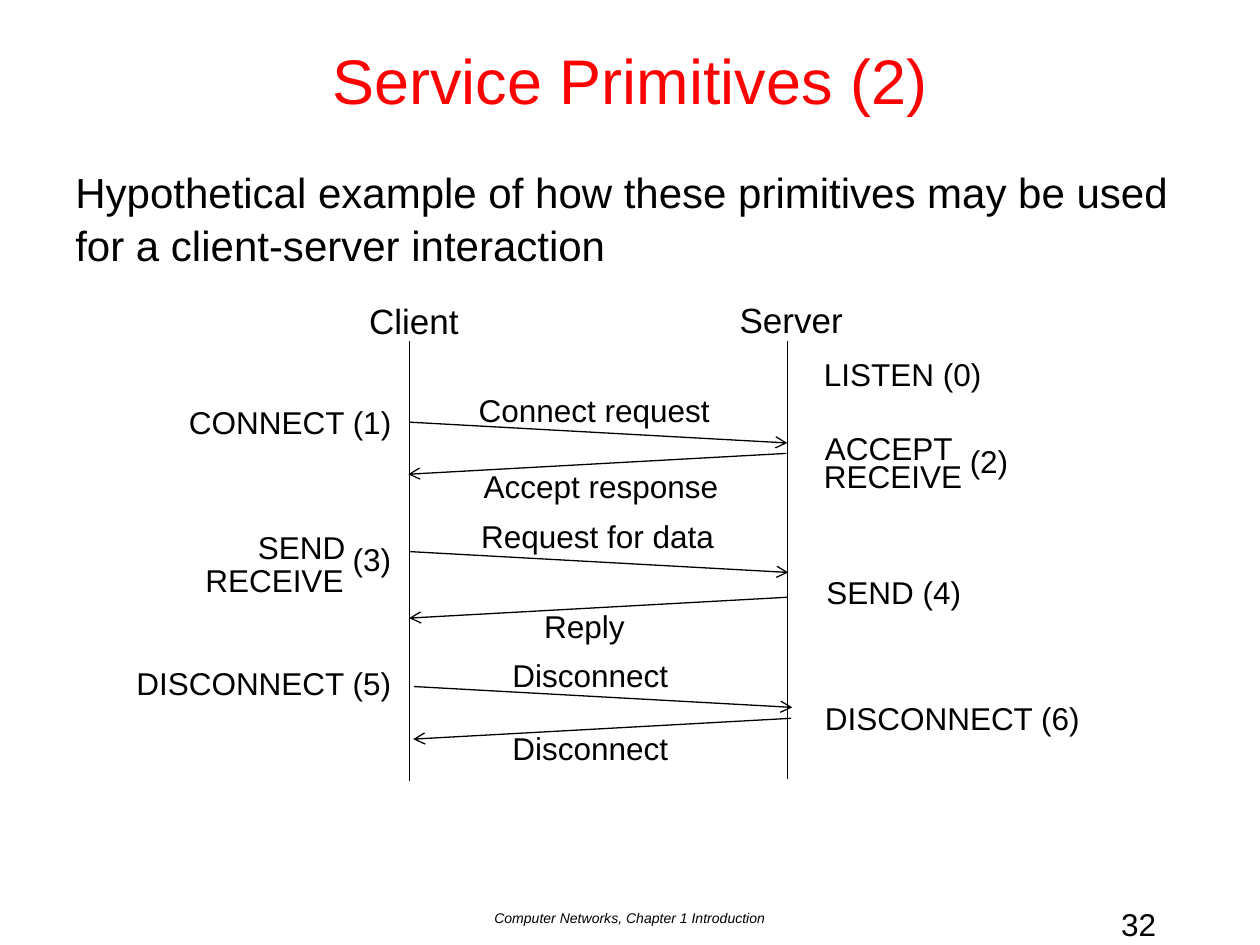
from lxml import etree
from pptx import Presentation
from pptx.dml.color import RGBColor
from pptx.enum.shapes import MSO_CONNECTOR
from pptx.enum.text import MSO_ANCHOR, PP_ALIGN
from pptx.oxml.ns import qn
from pptx.util import Cm, Pt

COLORS = {"title": "FF0000", "text": "000000", "line": "000000"}
FONT = "Arial"
TITLE_ONLY = 5
SLIDE_WIDTH, SLIDE_HEIGHT = 25.4, 19.05

CLIENT_X, SERVER_X = 5.75, 13.37
LIFELINE_TOP = 0.98
ARROW_DROP = 0.42

# text, left, top, width, relative to the diagram
HEADINGS = [("Client", 4.69, 0.02, 2.34), ("Server", 12.16, 0, 2.62)]
CLIENT_CALLS = [
    ("CONNECT (1)", 1.06, 2.1, 4.62),
    ("SEND", 2.45, 4.62, 2.29),
    ("RECEIVE", 1.39, 5.28, 3.33),
    ("(3)", 4.36, 4.87, 1.3),
    ("DISCONNECT (5)", 0, 7.36, 5.69),
]
SERVER_CALLS = [
    ("LISTEN (0)", 13.86, 1.14, 3.71),
    ("ACCEPT", 13.88, 2.63, 3.28),
    ("RECEIVE", 13.86, 3.19, 3.33),
    ("(2)", 16.8, 2.89, 1.3),
    ("SEND (4)", 13.91, 5.53, 3.25),
    ("DISCONNECT (6)", 13.88, 8.07, 5.69),
]
MESSAGES = [
    ("Connect request", 6.9, 1.85, 5.21),
    ("Accept response", 7, 3.4, 5.28),
    ("Request for data", 6.95, 4.39, 5.26),
    ("Reply", 8.22, 6.22, 2.16),
    ("Disconnect", 7.58, 7.21, 3.68),
    ("Disconnect", 7.58, 8.68, 3.68),
]
# start height and sideways shift; requests and replies alternate
ARROWS = [(2.61, 0), (3.24, -0.02), (5.22, 0.02), (6.14, 0), (7.94, 0.1), (8.58, 0.08)]


def style(paragraph, size, color="text", align=PP_ALIGN.LEFT, italic=False):
    paragraph.alignment = align
    font = paragraph.font
    font.name, font.size, font.italic = FONT, Pt(size), italic
    font.color.rgb = RGBColor.from_string(COLORS[color])


def add_text(slide, text, left, top, width, height, size, wrap=False, **options):
    box = slide.shapes.add_textbox(Cm(left), Cm(top), Cm(width), Cm(height))
    box.text_frame.word_wrap = wrap
    box.text_frame.text = text
    paragraph = box.text_frame.paragraphs[0]
    style(paragraph, size, **options)
    return paragraph


def add_line(slide, x1, y1, x2, y2, arrow=False):
    connector = slide.shapes.add_connector(
        MSO_CONNECTOR.STRAIGHT, Cm(x1), Cm(y1), Cm(x2), Cm(y2))
    connector.line.width = Pt(0.75)
    connector.line.color.rgb = RGBColor.from_string(COLORS["line"])
    if arrow:
        etree.SubElement(connector.line._get_or_add_ln(), qn("a:tailEnd"), type="arrow")
    etree.SubElement(connector._element.spPr, qn("a:effectLst"))


def set_title(slide, text, left, top, width, height):
    title = slide.shapes.title
    title.left, title.top, title.width, title.height = map(Cm, (left, top, width, height))
    title.text_frame.text = text
    title.text_frame.vertical_anchor = MSO_ANCHOR.MIDDLE
    style(title.text_frame.paragraphs[0], 36, "title", PP_ALIGN.CENTER)


def add_body(slide, text, left, top, width, height):
    paragraph = add_text(slide, text, left, top, width, height, 24, wrap=True)
    paragraph.line_spacing = 1.05


def add_sequence_diagram(slide, left, top):
    for x, bottom in ((CLIENT_X, 9.85), (SERVER_X, 9.8)):
        add_line(slide, left + x, top + LIFELINE_TOP, left + x, top + bottom)
    for index, (y, shift) in enumerate(ARROWS):
        ends = (CLIENT_X, SERVER_X) if index % 2 == 0 else (SERVER_X, CLIENT_X)
        start, end = (left + x + shift for x in ends)
        add_line(slide, start, top + y, end, top + y + ARROW_DROP, arrow=True)
    for labels, size, height in ((HEADINGS, 20, 1.12),
                                 (CLIENT_CALLS + SERVER_CALLS + MESSAGES, 18, 1.02)):
        for text, x, y, width in labels:
            add_text(slide, text, left + x, top + y, width, height, size)


def add_footer(slide, text, number, top, height):
    add_text(slide, text, 0, top, SLIDE_WIDTH, height, 8, wrap=True,
             align=PP_ALIGN.CENTER, italic=True)
    add_text(slide, number, 22.35, top - 0.1, 1.4, 1.02, 18, wrap=True)


def main():
    presentation = Presentation()
    presentation.slide_width, presentation.slide_height = Cm(SLIDE_WIDTH), Cm(SLIDE_HEIGHT)
    slide = presentation.slides.add_slide(presentation.slide_layouts[TITLE_ONLY])
    set_title(slide, "Service Primitives (2)", 0, 0, SLIDE_WIDTH, 3.18)
    add_body(slide, "Hypothetical example of how these primitives may be used "
             "for a client-server interaction", 1.27, 3.18, 22.86, 13.51)
    add_sequence_diagram(slide, 2.5, 5.9)
    add_footer(slide, "Computer Networks, Chapter 1 Introduction", "32", 18.21, 0.84)
    presentation.save("out.pptx")


if __name__ == "__main__":
    main()
